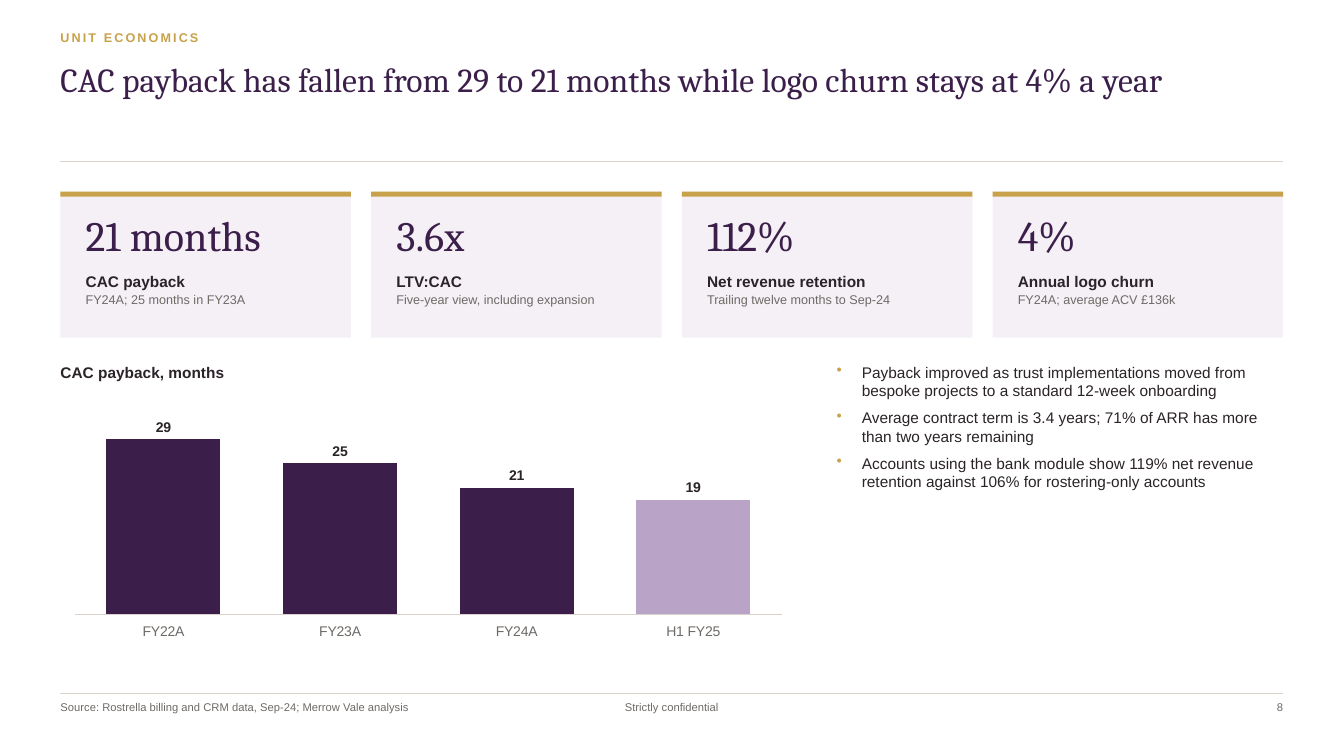
from lxml.etree import SubElement
from pptx import Presentation
from pptx.chart.data import CategoryChartData
from pptx.dml.color import RGBColor
from pptx.enum.chart import XL_CHART_TYPE, XL_LABEL_POSITION, XL_TICK_LABEL_POSITION, XL_TICK_MARK
from pptx.enum.shapes import MSO_CONNECTOR, MSO_SHAPE
from pptx.enum.text import MSO_ANCHOR, PP_ALIGN
from pptx.oxml.ns import qn
from pptx.util import Pt

PLUM, LILAC, PALE, GOLD = "3B1F4A", "B9A3C6", "F4F0F6", "C8A24A"
INK, GREY, RULE = "2A2328", "6E6A66", "D8D2CA"
MARGIN, CONTENT_WIDTH = 43.2, 873.36

CARDS = [
    ("21 months", "CAC payback", "FY24A; 25 months in FY23A"),
    ("3.6x", "LTV:CAC", "Five-year view, including expansion"),
    ("112%", "Net revenue retention", "Trailing twelve months to Sep-24"),
    ("4%", "Annual logo churn", "FY24A; average ACV £136k"),
]
PAYBACK = {"FY22A": 29, "FY23A": 25, "FY24A": 21, "H1 FY25": 19}
POINTS = [
    "Payback improved as trust implementations moved from bespoke projects to a standard 12-week onboarding",
    "Average contract term is 3.4 years; 71% of ARR has more than two years remaining",
    "Accounts using the bank module show 119% net revenue retention against 106% for rostering-only accounts",
]


def color(value):
    """Turn a hex string into a colour."""
    return RGBColor.from_string(value)


def set_font(font, size, tint, bold=False, name="Arial"):
    """Set the face, size, weight and colour of a font."""
    font.name, font.size, font.bold = name, Pt(size), bold
    font.color.rgb = color(tint)


def add_text(page, left, top, width, height, lines, anchor=MSO_ANCHOR.TOP, align=PP_ALIGN.LEFT):
    """Add a text box of (text, font settings) lines and return its paragraphs."""
    frame = page.shapes.add_textbox(Pt(left), Pt(top), Pt(width), Pt(height)).text_frame
    frame.word_wrap = True
    frame.vertical_anchor = anchor
    frame.margin_left = frame.margin_right = frame.margin_top = frame.margin_bottom = 0
    for index, (text, settings) in enumerate(lines):
        para = frame.paragraphs[0] if index == 0 else frame.add_paragraph()
        para.text = text
        para.alignment = align
        set_font(para.font, **settings)
    return frame.paragraphs


def add_rule(page, left, top, width, weight):
    """Draw a thin horizontal line."""
    rule = page.shapes.add_connector(MSO_CONNECTOR.STRAIGHT, Pt(left), Pt(top), Pt(left + width), Pt(top))
    rule.line.color.rgb = color(RULE)
    rule.line.width = Pt(weight)
    SubElement(rule._element.spPr, qn("a:effectLst"))


def add_block(page, left, top, width, height, fill):
    """Draw a plain filled rectangle."""
    block = page.shapes.add_shape(MSO_SHAPE.RECTANGLE, Pt(left), Pt(top), Pt(width), Pt(height))
    block.shadow.inherit = False
    block.fill.solid()
    block.fill.fore_color.rgb = color(fill)
    block.line.fill.background()


def add_header(page, left, top, width):
    """Place the section label, the title and the line below them."""
    label = add_text(page, left, top, 504, 18, [("UNIT ECONOMICS", dict(size=9, tint=GOLD, bold=True))])[0]
    label._p.pPr.find(qn("a:defRPr")).set("spc", "150")
    headline = "CAC payback has fallen from 29 to 21 months while logo churn stays at 4% a year"
    title = add_text(page, left, top + 23.04, width, 64.8,
                     [(headline, dict(size=24, tint=PLUM, name="Cambria"))])[0]
    title.line_spacing = 0.92
    add_rule(page, left, top + 93.6, width, 0.75)


def add_card(page, left, top, width, height, figure, name, detail):
    """Place one key figure on a tinted card with a gold top edge."""
    inset = 18
    add_block(page, left, top, width, height, PALE)
    add_block(page, left, top, width, 3.6, GOLD)
    add_text(page, left + inset, top + 7.2, width - 2 * inset, 46.8,
             [(figure, dict(size=30, tint=PLUM, name="Cambria"))], MSO_ANCHOR.MIDDLE)
    paras = add_text(page, left + inset, top + 57.6, width - 2 * inset, 43.2,
                     [(name, dict(size=11, tint=INK, bold=True)), (detail, dict(size=9, tint=GREY))])
    paras[1].space_before = Pt(1)


def add_cards(page, left, top, width, height, gap=14.4):
    """Spread the key figure cards evenly across the box."""
    card_width = (width - gap * (len(CARDS) - 1)) / len(CARDS)
    for index, card in enumerate(CARDS):
        add_card(page, left + index * (card_width + gap), top, card_width, height, *card)


def add_payback_chart(page, left, top, width, height):
    """Place the heading and column chart of payback months."""
    add_text(page, left, top, width, 21.6, [("CAC payback, months", dict(size=11, tint=INK, bold=True))])
    data = CategoryChartData(number_format="0")
    data.categories = list(PAYBACK)
    data.add_series("CAC payback, months", list(PAYBACK.values()))
    chart = page.shapes.add_chart(XL_CHART_TYPE.COLUMN_CLUSTERED, Pt(left), Pt(top + 25.2),
                                  Pt(width), Pt(height - 25.2), data).chart
    chart.has_legend = chart.has_title = False
    set_font(chart.font, 10, INK)

    months = chart.value_axis
    months.minimum_scale, months.maximum_scale = 0, 35
    months.has_major_gridlines = months.visible = False
    periods = chart.category_axis
    periods.major_tick_mark = periods.minor_tick_mark = XL_TICK_MARK.NONE
    periods.tick_label_position = XL_TICK_LABEL_POSITION.LOW
    periods.format.line.color.rgb = color(RULE)
    periods.format.line.width = Pt(0.75)
    set_font(periods.tick_labels.font, 10, GREY)

    plot = chart.plots[0]
    plot.gap_width = 55
    plot.vary_by_categories = False
    series = plot.series[0]
    series.invert_if_negative = False
    latest = series.points[len(PAYBACK) - 1]
    for part, fill in ((series, PLUM), (latest, LILAC)):
        part.format.fill.solid()
        part.format.fill.fore_color.rgb = color(fill)
    labels = series.data_labels
    labels.show_value = True
    labels.position = XL_LABEL_POSITION.OUTSIDE_END
    labels.number_format, labels.number_format_is_linked = "0", False
    set_font(labels.font, 10, INK, bold=True)


def add_bullet(para, indent):
    """Give a paragraph a gold hanging bullet."""
    properties = para._p.get_or_add_pPr()
    properties.set("marL", str(Pt(indent)))
    properties.set("indent", str(Pt(-indent)))
    tint = properties.makeelement(qn("a:buClr"), {})
    SubElement(tint, qn("a:srgbClr"), val=GOLD)
    mark = properties.makeelement(qn("a:buChar"), {"char": "•"})
    return properties, [tint, mark]


def add_points(page, left, top, width, height):
    """Place the bulleted comments beside the chart."""
    style = dict(size=11, tint=INK)
    paras = add_text(page, left, top, width, height, [(text, style) for text in POINTS])
    for index, para in enumerate(paras):
        if index:
            para.space_before = Pt(6)
        properties, bullet = add_bullet(para, 18)
        font = properties.find(qn("a:defRPr"))
        for element in bullet:
            font.addprevious(element)


def add_footer(page, left, top, width):
    """Place the footer line, source, confidentiality note and page number."""
    style = dict(size=8, tint=GREY)
    add_rule(page, left, top, width, 0.5)
    source = "Source: Rostrella billing and CRM data, Sep-24; Merrow Vale analysis"
    add_text(page, left, top + 5.04, 360, 28.8, [(source, style)])
    add_text(page, left + width / 2 - 72, top + 5.04, 144, 18, [("Strictly confidential", style)],
             align=PP_ALIGN.CENTER)
    add_text(page, left + width - 72, top + 5.04, 72, 18, [("8", style)], align=PP_ALIGN.RIGHT)


def main():
    """Build the unit economics slide and save it."""
    deck = Presentation()
    deck.slide_width, deck.slide_height = Pt(960), Pt(540)
    page = deck.slides.add_slide(deck.slide_layouts[6])
    add_header(page, MARGIN, 21.6, CONTENT_WIDTH)
    add_cards(page, MARGIN, 136.8, CONTENT_WIDTH, 104.4)
    add_payback_chart(page, MARGIN, 259.2, 525.6, 201.6)
    add_points(page, 597.6, 259.2, 318.96, 201.6)
    add_footer(page, MARGIN, 495.36, CONTENT_WIDTH)
    deck.save("out.pptx")


if __name__ == "__main__":
    main()
